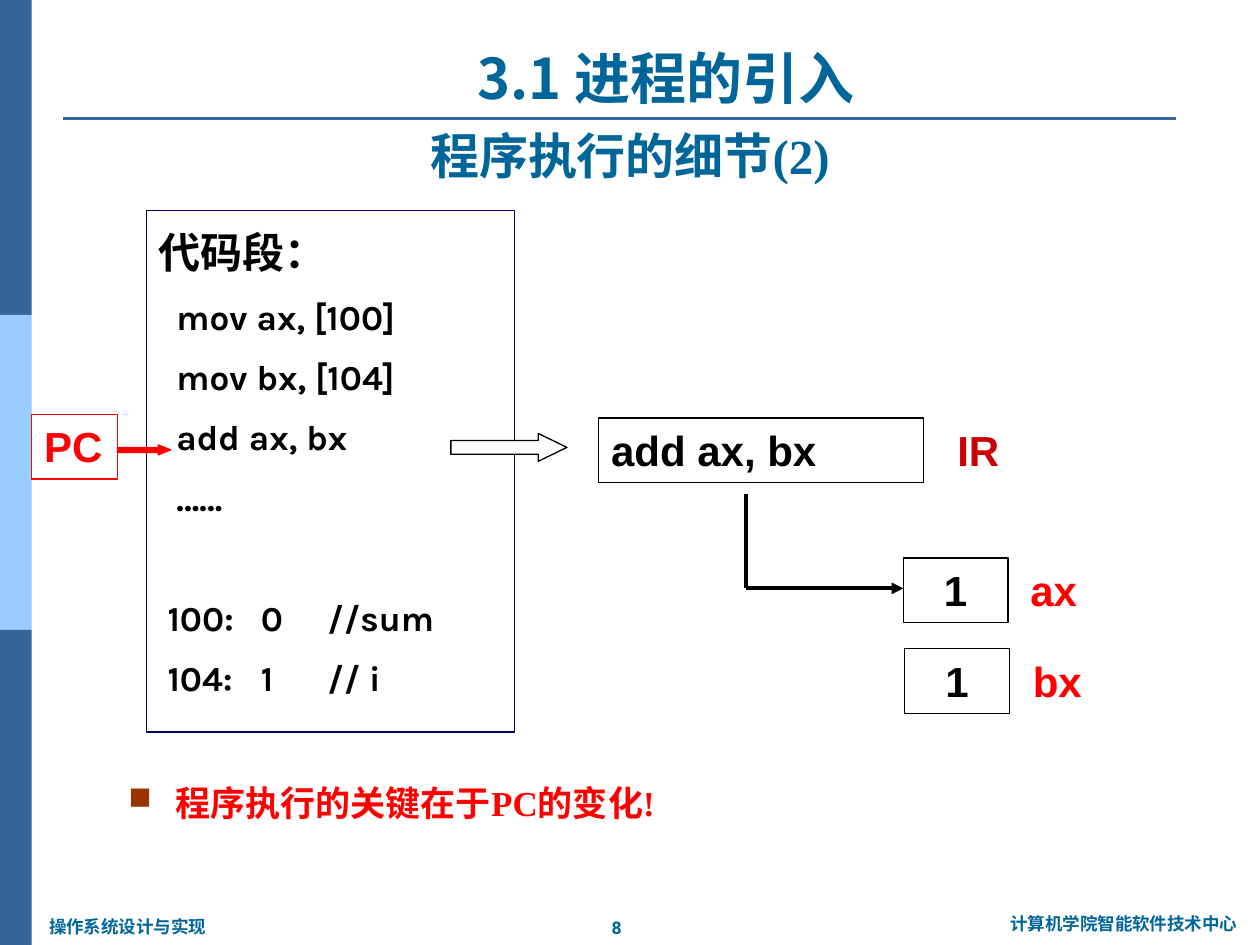
from pptx import Presentation
from pptx.dml.color import RGBColor
from pptx.enum.shapes import MSO_CONNECTOR as Connector, MSO_SHAPE as Shape
from pptx.enum.text import MSO_ANCHOR as Anchor, PP_ALIGN as Align
from pptx.oxml.ns import qn
from pptx.util import Cm, Pt
from lxml.etree import SubElement

COLORS = {
    "blue": "336699", "sky": "99CCFF", "teal": "006699", "navy": "000066",
    "red": "FF0000", "crimson": "CC0000", "brown": "993300",
    "black": "000000", "white": "FFFFFF",
}
CJK_FONT = "Noto Sans CJK SC"
FRAME_HEIGHT = 1.3


def rgb(name):
    return RGBColor.from_string(COLORS[name])


def style(paragraph, size, color, font="Arial", align=Align.LEFT):
    paragraph.alignment = align
    paragraph.font.name = font
    paragraph.font.size = Pt(size)
    paragraph.font.bold = True
    paragraph.font.color.rgb = rgb(color)
    properties = paragraph.font._element
    SubElement(properties, qn("a:ea")).set("typeface", CJK_FONT)


def add_text(slide, box, text, size, color, font="Arial", align=Align.LEFT,
             anchor=Anchor.TOP, wrap=True):
    frame = slide.shapes.add_textbox(*map(Cm, box)).text_frame
    frame.word_wrap = wrap
    frame.vertical_anchor = anchor
    paragraph = frame.paragraphs[0]
    paragraph.text = text
    style(paragraph, size, color, font, align)
    return frame


def add_shape(slide, kind, box, fill=None, line=None):
    shape = slide.shapes.add_shape(kind, *map(Cm, box))
    shape.shadow.inherit = False
    if fill:
        shape.fill.solid()
        shape.fill.fore_color.rgb = rgb(fill)
    else:
        shape.fill.background()
    if line:
        shape.line.color.rgb = rgb(line)
        shape.line.width = Pt(0.75)
    else:
        shape.line.fill.background()
    return shape


def add_frame(slide, box, text, color, line, align=Align.LEFT, fill=None, wrap=True):
    frame = add_shape(slide, Shape.RECTANGLE, box, fill, line).text_frame
    frame.word_wrap = wrap
    frame.vertical_anchor = Anchor.TOP
    frame.paragraphs[0].text = text
    style(frame.paragraphs[0], 24, color, align=align)


def add_arrow(slide, box, fill, line, head):
    arrow = add_shape(slide, Shape.RIGHT_ARROW, box, fill, line)
    arrow.adjustments[0] = 0.5
    arrow.adjustments[1] = head


def add_line(slide, start, end, color, width, arrow=False):
    connector = slide.shapes.add_connector(Connector.STRAIGHT, *map(Cm, start + end))
    connector.line.color.rgb = rgb(color)
    connector.line.width = Pt(width)
    if arrow:
        SubElement(connector.line._get_or_add_ln(), qn("a:tailEnd")).set("type", "triangle")
    SubElement(connector._element.spPr, qn("a:effectLst"))


def add_side_band(slide, left, top, width, height):
    part = height / 3
    for index, color in enumerate(("blue", "sky", "blue")):
        add_shape(slide, Shape.RECTANGLE, (left, top + index * part, width, part), color)


def add_header(slide, left, top, width):
    add_text(slide, (left + 3.3, top, 17.73, 1.6), "3.1 进程的引入", 32, "teal",
             CJK_FONT, Align.CENTER, Anchor.BOTTOM)
    add_line(slide, (left, top + 1.63), (left + width - 0.43, top + 1.63), "blue", 1.5)
    add_text(slide, (left, top + 1.48, width, 1.6), "程序执行的细节(2)", 28, "teal",
             "Times New Roman", Align.CENTER, Anchor.BOTTOM)


def add_footer(slide, top):
    parts = (
        ((0.74, top + 0.05, 3.71, 0.69), "操作系统设计与实现", Align.LEFT, False),
        ((11.96, top + 0.07, 0.94, 0.69), "8", Align.CENTER, False),
        ((19.99, top, 5.33, 0.69), "计算机学院智能软件技术中心", Align.CENTER, True),
    )
    for box, text, align, wrap in parts:
        add_text(slide, box, text, 10, "teal", "Roboto", align, wrap=wrap)


def add_code_segment(slide, left, top, width, height):
    add_shape(slide, Shape.RECTANGLE, (left, top, width, height), "white", "navy")
    frame = add_text(slide, (left, top + 0.2, 8.89, 10.16), "代码段：", 24, "black")
    lines = (
        ("  mov ax, [100]", 10.5), ("  mov bx, [104]", 10.5),
        ("  add ax, bx", 10.5), ("  ……", 10.5),
        (" 100:\t0\t//sum", 44.5), (" 104:\t1\t// i", 10.5),
    )
    for text, gap in lines:
        paragraph = frame.add_paragraph()
        paragraph.text = text
        paragraph.space_before = Pt(gap)
        if "\t" in text:
            tabs = SubElement(paragraph._p.get_or_add_pPr(), qn("a:tabLst"))
            for position in (2.06, 3.4):
                tab = SubElement(tabs, qn("a:tab"))
                tab.set("pos", str(Cm(position)))
                tab.set("algn", "l")
        style(paragraph, 20, "black", "Karla")


def add_program_counter(slide, left, top, width):
    add_frame(slide, (left, top, width, FRAME_HEIGHT), "PC", "red", "red", wrap=False)
    add_arrow(slide, (left + width, top + 0.61, 1.07, 0.2), "red", "red", 1.25)


def add_register(slide, left, top, width, value, name, color, gap, align, fill=None):
    add_frame(slide, (left, top, width, FRAME_HEIGHT), value, "black", "black", align, fill)
    add_text(slide, (left + width + gap, top, 2.54, 1.27), name, 24, color)


def add_result_path(slide, left, top, width, height):
    corner = (left, top + height)
    add_line(slide, (left, top), corner, "black", 2.25)
    add_line(slide, corner, (left + width, top + height), "black", 2.25, arrow=True)


def add_conclusion(slide, left, top, width, height):
    frame = add_text(slide, (left, top, width, height), "", 20, "red", "Times New Roman")
    frame.clear()
    paragraph = frame.paragraphs[0]
    paragraph.text = "程序执行的关键在于PC的变化!"
    paragraph.line_spacing = 1.3
    properties = paragraph._p.get_or_add_pPr()
    for tag in ("a:defRPr",):
        for element in properties.findall(qn(tag)):
            properties.remove(element)
    properties.set("marL", str(Cm(0.95)))
    properties.set("indent", str(Cm(-0.95)))
    bullet_color = SubElement(properties, qn("a:buClr"))
    SubElement(bullet_color, qn("a:srgbClr")).set("val", COLORS["brown"])
    SubElement(properties, qn("a:buSzPct")).set("val", "90000")
    SubElement(properties, qn("a:buChar")).set("char", "■")
    style(paragraph, 20, "red", "Times New Roman")


def main():
    presentation = Presentation()
    presentation.slide_width = Cm(25.4)
    presentation.slide_height = Cm(19.05)
    slide = presentation.slides.add_slide(presentation.slide_layouts[6])
    add_side_band(slide, 0, 0, 0.64, 19.05)
    add_header(slide, 1.27, 0.76, 22.86)
    add_footer(slide, 18.29)
    add_code_segment(slide, 2.95, 4.24, 7.42, 10.52)
    add_arrow(slide, (9.09, 8.74, 2.34, 0.56), "white", "black", 1.03)
    add_program_counter(slide, 0.64, 8.36, 1.73)
    add_register(slide, 12.07, 8.43, 6.55, "add ax, bx", "IR", "crimson", 0.43, Align.LEFT)
    add_result_path(slide, 15.04, 9.96, 3.17, 1.9)
    add_register(slide, 18.21, 11.25, 2.11, "1", "ax", "red", 0.2, Align.CENTER, "white")
    add_register(slide, 18.24, 13.08, 2.11, "1", "bx", "red", 0.22, Align.CENTER)
    add_conclusion(slide, 2.34, 15.37, 22, 2.41)
    presentation.save("out.pptx")


if __name__ == "__main__":
    main()
